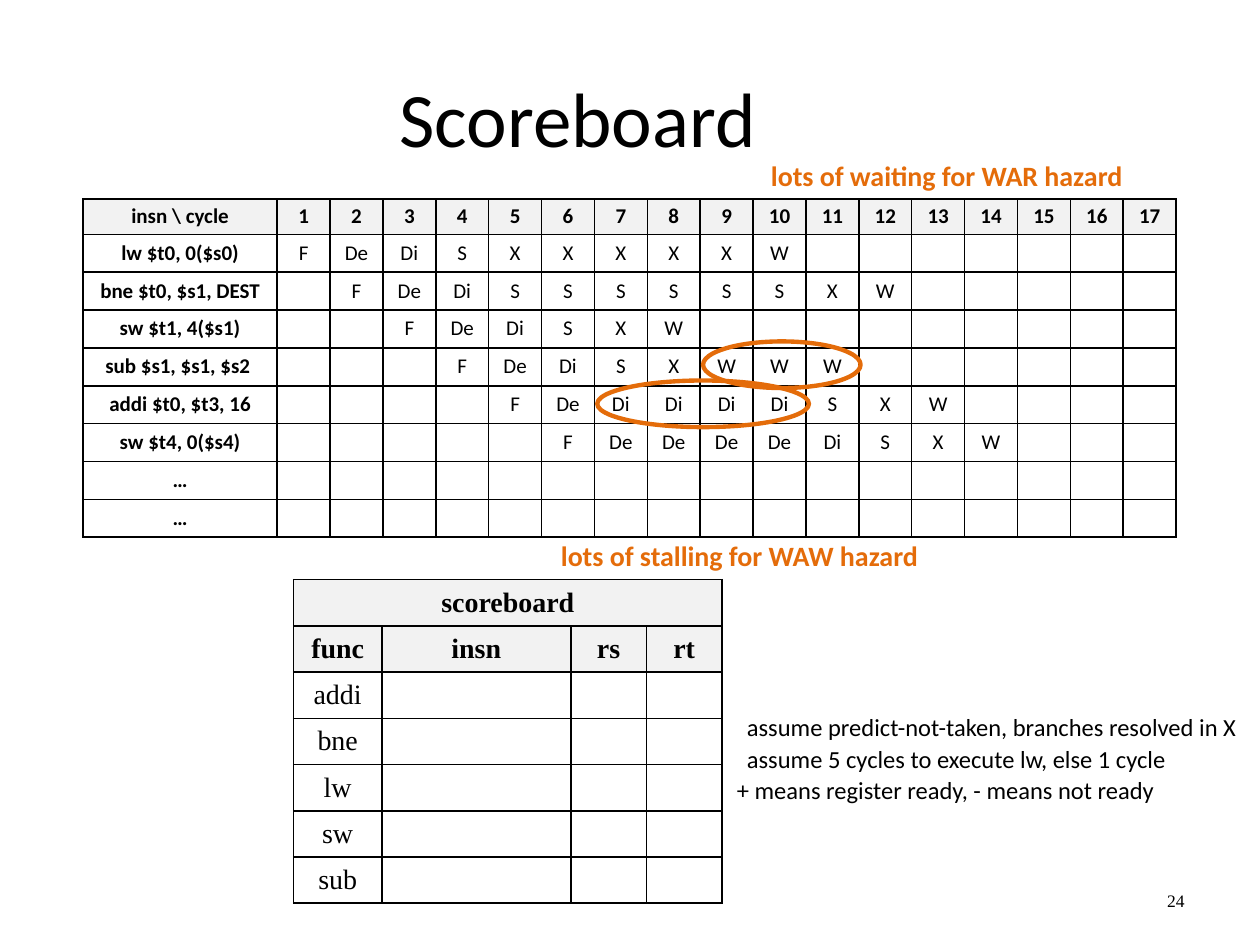
"""Build the Scoreboard slide with its pipeline and unit tables."""
from lxml import etree
from pptx import Presentation
from pptx.dml.color import RGBColor
from pptx.enum.shapes import MSO_SHAPE
from pptx.enum.text import MSO_ANCHOR, PP_ALIGN
from pptx.oxml.ns import qn
from pptx.text.text import Font
from pptx.util import Inches, Pt

LEFT, MID, RIGHT = PP_ALIGN.LEFT, PP_ALIGN.CENTER, PP_ALIGN.RIGHT
MIDDLE = MSO_ANCHOR.MIDDLE
OVAL = MSO_SHAPE.OVAL
BLACK = RGBColor(0, 0, 0)
WHITE = RGBColor(255, 255, 255)
GRAY = RGBColor(0xF2, 0xF2, 0xF2)
ORANGE = RGBColor(0xE4, 0x6C, 0x0A)
SANS, SERIF = "Calibri", "Times New Roman"

CYCLES = 17
INSNS = [
    ("lw $t0, 0($s0)", "F De Di S X X X X X W"),
    ("bne $t0, $s1, DEST", "F De Di S S S S S S X W"),
    ("sw $t1, 4($s1)", "F De Di S X W"),
    ("sub $s1, $s1, $s2 ", "F De Di S X W W W"),
    ("addi $t0, $t3, 16", "F De Di Di Di Di S X W"),
    ("sw $t4, 0($s4)", "F De De De De Di S X W"),
    ("…", ""),
    ("…", ""),
]
UNITS = ["addi", "bne", "lw", "sw", "sub"]
NOTES = [
    (5.83, 5.52, 4.17, "assume predict-not-taken, branches resolved in X"),
    (5.83, 5.77, 3.83, "assume 5 cycles to execute lw, else 1 cycle"),
    (5.75, 6.02, 3.83, "+ means register ready, - means not ready"),
]


class Deck:
    """Hold the style and the current slide."""

    def __init__(self, slide):
        self.slide = slide
        self.shapes = slide.shapes

    def style(self, font, size, face=SANS, bold=False, color=BLACK):
        font.size, font.name, font.bold = Pt(size), face, bold
        font.color.rgb = color

    def text(self, box, words, size, align=LEFT, wrap=True, **look):
        frame = self.shapes.add_textbox(*map(Inches, box)).text_frame
        frame.word_wrap = wrap
        frame.vertical_anchor = MIDDLE
        para = frame.paragraphs[0]
        para.text = words
        para.alignment = align
        self.style(para.font, size, **look)

    def ring(self, *box):
        ring = self.shapes.add_shape(OVAL, *map(Inches, box))
        ring.shadow.inherit = False
        ring.fill.background()
        ring.line.color.rgb = ORANGE
        ring.line.width = Pt(2.5)

    def border(self, cell):
        props = cell._tc.get_or_add_tcPr()
        for side in ("lnL", "lnR", "lnT", "lnB"):
            line = etree.SubElement(props, qn("a:" + side), w=str(Pt(1)))
            fill = etree.SubElement(line, qn("a:solidFill"))
            etree.SubElement(fill, qn("a:srgbClr"), val=str(BLACK))

    def cell(self, cell, words, size, face, bold, fill, space):
        self.border(cell)
        cell.fill.solid()
        cell.fill.fore_color.rgb = fill
        cell.vertical_anchor = MIDDLE
        para = cell.text_frame.paragraphs[0]
        para.alignment = MID
        if words:
            para.text = words
            para.line_spacing = space
            self.style(para.font, size, face, bold)
        else:
            self.style(Font(para._p.get_or_add_endParaRPr()), size, face)

    def table(self, left, top, cols, highs, rows, size, face,
              heads=1, labels=False, space=1.0):
        box = map(Inches, (left, top, sum(cols), sum(highs)))
        table = self.shapes.add_table(len(rows), len(cols), *box).table
        for col, wide in zip(table.columns, cols):
            col.width = Inches(wide)
        for r, (row, high) in enumerate(zip(rows, highs)):
            table.rows[r].height = Inches(high)
            head = r < heads
            for c, words in enumerate(row):
                bold = head or (labels and c == 0)
                fill = GRAY if head else WHITE
                self.cell(table.cell(r, c), words, size, face, bold, fill, space)
        return table


def main():
    prs = Presentation()
    prs.slide_width, prs.slide_height = Inches(10), Inches(7.5)
    deck = Deck(prs.slides.add_slide(prs.slide_layouts[6]))

    deck.text((0.5, 0.3, 8.17, 1.25), "Scoreboard", 44, MID)
    deck.text((8.33, 6.95, 1.17, 0.4), "24", 10, RIGHT, face=SERIF)

    grid = [["insn \\ cycle"] + [str(n + 1) for n in range(CYCLES)]]
    for start, (insn, steps) in enumerate(INSNS):
        row = [insn] + [""] * start + steps.split()
        grid.append(row + [""] * (CYCLES + 1 - len(row)))
    deck.table(0.66, 1.58, [1.54] + [0.42] * CYCLES, [0.28] + [0.3] * len(INSNS),
               grid, 12, SANS, labels=True, space=0.9)

    board = [["scoreboard", "", "", ""], ["func", "insn", "rs", "rt"]]
    board += [[unit, "", "", ""] for unit in UNITS]
    table = deck.table(2.33, 4.6, [0.7, 1.5, 0.6, 0.6], [0.34] * len(board),
                       board, 16, SERIF, heads=2)
    table.cell(0, 0).merge(table.cell(0, 3))

    for left, top, wide, words in NOTES:
        deck.text((left, top, wide, 0.5), words, 14)
    for box, words in (
        ((4.33, 4.22, 3.08, 0.37), "lots of stalling for WAW hazard"),
        ((6, 1.21, 3.03, 0.37), "lots of waiting for WAR hazard"),
    ):
        deck.text(box, words, 16, MID, wrap=False, bold=True, color=ORANGE)
    deck.ring(5.58, 2.71, 1.25, 0.37)
    deck.ring(4.74, 3.02, 1.68, 0.37)
    prs.save("out.pptx")


if __name__ == "__main__":
    main()
